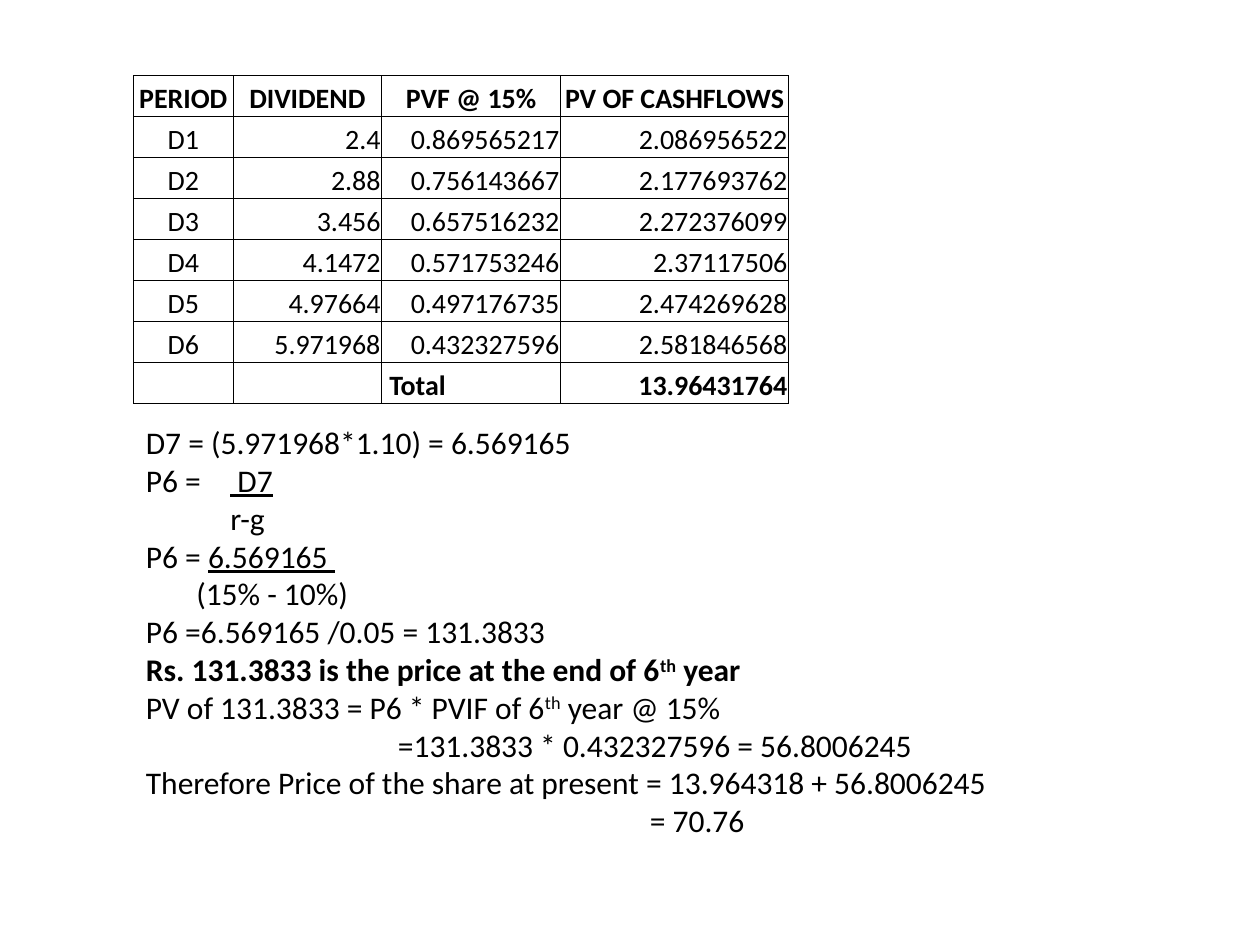
from lxml.etree import SubElement
from pptx import Presentation
from pptx.dml.color import RGBColor
from pptx.enum.text import MSO_ANCHOR, MSO_AUTO_SIZE, PP_ALIGN
from pptx.oxml.ns import qn
from pptx.util import Inches, Pt

COLORS = {"text": "000000", "border": "000000"}
FONT = "Calibri"
COLUMN_WIDTHS = [0.79, 1.18, 1.42, 1.81]
TABLE_HEIGHT = 2.6
ROWS = [
    ["PERIOD", "DIVIDEND", "PVF @ 15%", "PV OF CASHFLOWS"],
    ["D1", "2.4", "0.869565217", "2.086956522"],
    ["D2", "2.88", "0.756143667", "2.177693762"],
    ["D3", "3.456", "0.657516232", "2.272376099"],
    ["D4", "4.1472", "0.571753246", "2.37117506"],
    ["D5", "4.97664", "0.497176735", "2.474269628"],
    ["D6", "5.971968", "0.432327596", "2.581846568"],
    ["", "", "Total", "13.96431764"],
]
FRACTION_INDENT = 0.67
WORKING = [
    (0, [("D7 = (5.971968*1.10) = 6.569165", "")]),
    (0, [("P6 =\t", ""), (" D7", "underline")]),
    (FRACTION_INDENT, [("r-g", "")]),
    (0, [("P6 = ", ""), ("6.569165 ", "underline")]),
    (0.4, [("(15% - 10%)", "")]),
    (0, [("P6 =6.569165 /0.05 = 131.3833", "")]),
    (0, [("Rs. 131.3833 is the price at the end of 6", "bold"),
         ("th", "bold superscript"), (" year", "bold")]),
    (0, [("PV of 131.3833 = P6 * PVIF of 6", ""),
         ("th", "superscript"), (" year @ 15%", "")]),
    (2, [("=131.3833 * 0.432327596 = 56.8006245", "")]),
    (0, [("Therefore Price of the share at present = 13.964318 + 56.8006245", "")]),
    (4, [("= 70.76", "")]),
]


def add_span(para, text, size, style=""):
    span = para.add_run()
    span.text = text
    font = span.font
    font.name = FONT
    font.size = Pt(size)
    font.color.rgb = RGBColor.from_string(COLORS["text"])
    font.bold = "bold" in style
    font.underline = "underline" in style
    if "superscript" in style:
        font._element.set("baseline", "30000")


def add_borders(cell):
    properties = cell._tc.get_or_add_tcPr()
    for side in ("lnL", "lnR", "lnT", "lnB"):
        line = SubElement(properties, qn(f"a:{side}"), w=str(Pt(0.5)))
        fill = SubElement(line, qn("a:solidFill"))
        SubElement(fill, qn("a:srgbClr"), val=COLORS["border"])


def fill_cell(cell, text, alignment, style):
    add_borders(cell)
    cell.fill.background()
    cell.vertical_anchor = MSO_ANCHOR.BOTTOM
    cell.margin_left = Inches(0.06 if text == "Total" else 0.01)
    cell.margin_right = cell.margin_top = Inches(0.01)
    cell.margin_bottom = 0
    para = cell.text_frame.paragraphs[0]
    para.alignment = alignment
    if text:
        add_span(para, text, 16, style)
    else:
        para.font.size = Pt(16)


def add_dividend_table(page):
    frame = page.shapes.add_table(
        len(ROWS), len(COLUMN_WIDTHS), Inches(1.06), Inches(0.6),
        Inches(sum(COLUMN_WIDTHS)), Inches(TABLE_HEIGHT))
    table = frame.table
    table.first_row = table.horz_banding = False
    for column, width in zip(table.columns, COLUMN_WIDTHS):
        column.width = Inches(width)
    last = len(ROWS) - 1
    for i, values in enumerate(ROWS):
        table.rows[i].height = Inches(TABLE_HEIGHT / len(ROWS))
        for j, text in enumerate(values):
            if text == "Total":
                alignment = PP_ALIGN.LEFT
            elif i == 0 or j == 0:
                alignment = PP_ALIGN.CENTER
            else:
                alignment = PP_ALIGN.RIGHT
            style = "bold" if i in (0, last) else ""
            fill_cell(table.cell(i, j), text, alignment, style)


def add_working(page):
    box = page.shapes.add_textbox(
        Inches(1.06), Inches(3.31), Inches(7.17), Inches(3.43))
    frame = box.text_frame
    frame.word_wrap = True
    frame.auto_size = MSO_AUTO_SIZE.SHAPE_TO_FIT_TEXT
    for i, (indent, spans) in enumerate(WORKING):
        para = frame.add_paragraph() if i else frame.paragraphs[0]
        properties = para._p.get_or_add_pPr()
        properties.set("marL", str(Inches(indent)))
        if "\t" in spans[0][0]:
            tabs = SubElement(properties, qn("a:tabLst"))
            SubElement(tabs, qn("a:tab"), pos=str(Inches(FRACTION_INDENT)), algn="l")
        for text, style in spans:
            add_span(para, text, 18, style)


def main():
    deck = Presentation()
    deck.slide_width = Inches(10)
    deck.slide_height = Inches(7.5)
    page = deck.slides.add_slide(deck.slide_layouts[6])
    add_dividend_table(page)
    add_working(page)
    deck.save("out.pptx")


if __name__ == "__main__":
    main()
